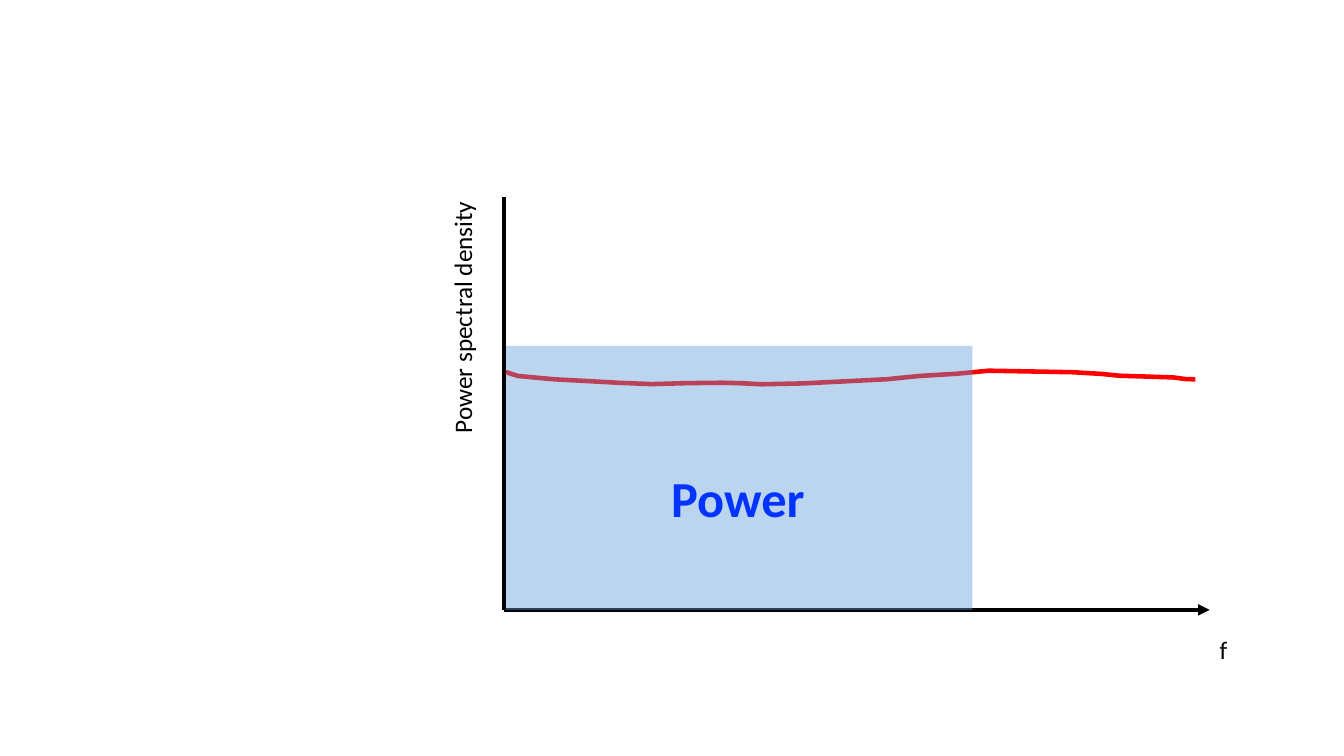
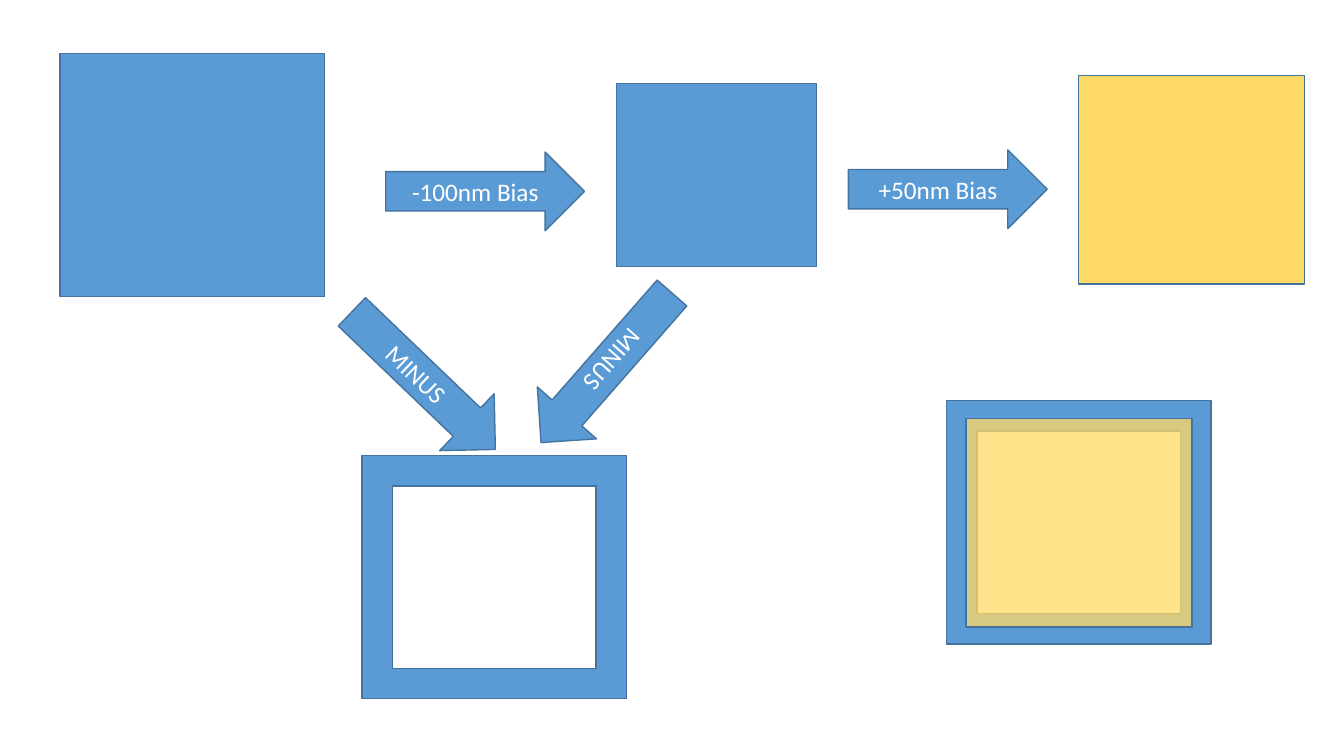
from lxml import etree
from pptx import Presentation
from pptx.dml.color import RGBColor
from pptx.enum.shapes import MSO_CONNECTOR, MSO_SHAPE
from pptx.enum.text import MSO_ANCHOR, MSO_AUTO_SIZE, PP_ALIGN
from pptx.oxml.ns import qn
from pptx.util import Pt

RECTANGLE = MSO_SHAPE.RECTANGLE
FRAME = MSO_SHAPE.FRAME
RIGHT_ARROW = MSO_SHAPE.RIGHT_ARROW
STRAIGHT = MSO_CONNECTOR.STRAIGHT
MIDDLE = MSO_ANCHOR.MIDDLE
CENTER = PP_ALIGN.CENTER
FIT_SHAPE = MSO_AUTO_SIZE.SHAPE_TO_FIT_TEXT

BLACK = "000000"
WHITE = "FFFFFF"
BLUE = "5B9BD5"
DARK_BLUE = "43739E"
TEXT_BLUE = "0432FF"
YELLOW = "FFD966"
RED = "FF0000"

ORIGIN = (360, 435.6)
SPECTRUM = [
    (361.4, 265.7), (365.8, 267.3), (370.1, 268.6), (395.3, 270.9),
    (442.8, 273.5), (465.8, 274.4), (491, 273.7), (516.2, 273.4),
    (530, 273.8), (544.3, 274.5), (574, 273.9), (604, 272.4),
    (633.6, 270.9), (656.6, 268.6), (683.3, 267), (706.3, 264.8),
    (766, 265.9), (787, 267.1), (799.2, 268.4), (838, 269.6),
    (847, 270.8), (853.9, 271),
]

LARGE = (188.8, 173.6)
MEDIUM = (161.4, 149)
SMALL = (142.6, 131)
ARROW = (142, 56.2)
ARROWS = [
    ("-100nm Bias", 275.5, 108.6, 0),
    ("+50nm Bias", 606, 107, 0),
    ("MINUS", 231.6, 243.8, 43.8),
    ("MINUS", 362.2, 234.6, 131.2),
]


def color(hex_string):
    return RGBColor.from_string(hex_string)


class SlideBuilder:
    font = "Calibri"
    text_size = 18

    def __init__(self, presentation):
        self.presentation = presentation
        self.slide = None

    def new_slide(self):
        layout = self.presentation.slide_layouts[6]
        self.slide = self.presentation.slides.add_slide(layout)

    def add_text(self, paragraph, text, text_color, size=text_size,
                 bold=False):
        run = paragraph.add_run()
        run.text = text
        run.font.name = self.font
        run.font.size = Pt(size)
        run.font.bold = bold
        run.font.color.rgb = color(text_color)

    def label(self, text, left, top, width, height, text_color=BLACK,
              size=text_size, bold=False, rotation=0):
        box = self.slide.shapes.add_textbox(
            Pt(left), Pt(top), Pt(width), Pt(height))
        box.rotation = rotation
        frame = box.text_frame
        frame.word_wrap = rotation != 0
        frame.auto_size = FIT_SHAPE
        self.add_text(frame.paragraphs[0], text, text_color, size, bold)

    def shape(self, kind, left, top, size, fill, line=DARK_BLUE, opacity=100):
        width, height = size
        shape = self.slide.shapes.add_shape(
            kind, Pt(left), Pt(top), Pt(width), Pt(height))
        shape.shadow.inherit = False
        shape.fill.solid()
        shape.fill.fore_color.rgb = color(fill)
        if opacity < 100:
            properties = shape._element.spPr
            fill_color = properties.find(".//" + qn("a:srgbClr"))
            alpha = etree.SubElement(fill_color, qn("a:alpha"))
            alpha.set("val", str(opacity * 1000))
        if line:
            shape.line.color.rgb = color(line)
            shape.line.width = Pt(1)
        else:
            shape.line.fill.background()
        return shape

    def block_arrow(self, text, left, top, rotation):
        arrow = self.shape(RIGHT_ARROW, left, top, ARROW, BLUE)
        arrow.rotation = rotation
        frame = arrow.text_frame
        frame.word_wrap = True
        frame.vertical_anchor = MIDDLE
        paragraph = frame.paragraphs[0]
        paragraph.alignment = CENTER
        self.add_text(paragraph, text, WHITE)

    def axis(self, end_x, end_y, arrowhead=False):
        """Draw an axis line from the origin of the graph."""
        points = [Pt(value) for value in (*ORIGIN, end_x, end_y)]
        connector = self.slide.shapes.add_connector(STRAIGHT, *points)
        connector.line.color.rgb = color(BLACK)
        connector.line.width = Pt(2.75)
        properties = connector._element.spPr
        if arrowhead:
            line = properties.find(qn("a:ln"))
            etree.SubElement(line, qn("a:tailEnd")).set("type", "triangle")
        etree.SubElement(properties, qn("a:effectLst"))

    def curve(self, points):
        start, *rest = [(Pt(x), Pt(y)) for x, y in points]
        builder = self.slide.shapes.build_freeform(*start)
        builder.add_line_segments(rest, close=False)
        curve = builder.convert_to_shape()
        curve.shadow.inherit = False
        curve.fill.background()
        curve.line.color.rgb = color(RED)
        curve.line.width = Pt(3.25)


def power_slide(builder):
    builder.new_slide()
    origin_x, origin_y = ORIGIN
    builder.axis(origin_x, 140.4)
    builder.axis(864, origin_y, arrowhead=True)
    builder.label("f", 864, 449.3, 20.2, 29)
    builder.label("Power spectral density", 197.3, 169.2, 265.7, 29,
                  rotation=270)
    builder.curve(SPECTRUM)
    builder.shape(RECTANGLE, 361.4, 247, (333.2, 188.6), BLUE,
                  line=None, opacity=42)
    builder.label("Power", 472.3, 329.8, 110.9, 51, TEXT_BLUE, 36, bold=True)


def bias_slide(builder):
    builder.new_slide()
    builder.shape(RECTANGLE, 43, 38.4, LARGE, BLUE)
    builder.shape(RECTANGLE, 440.5, 59.6, SMALL, BLUE)
    builder.shape(RECTANGLE, 770.6, 53.8, MEDIUM, YELLOW)
    for arrow in ARROWS:
        builder.block_arrow(*arrow)
    builder.shape(FRAME, 258.7, 325.5, LARGE, BLUE)
    builder.shape(FRAME, 676.3, 286.3, LARGE, BLUE)
    builder.shape(RECTANGLE, 690, 298.8, MEDIUM, YELLOW, opacity=76)


def main():
    presentation = Presentation()
    presentation.slide_width = Pt(960)
    presentation.slide_height = Pt(540)
    builder = SlideBuilder(presentation)
    power_slide(builder)
    bias_slide(builder)
    presentation.save("out.pptx")


if __name__ == "__main__":
    main()
